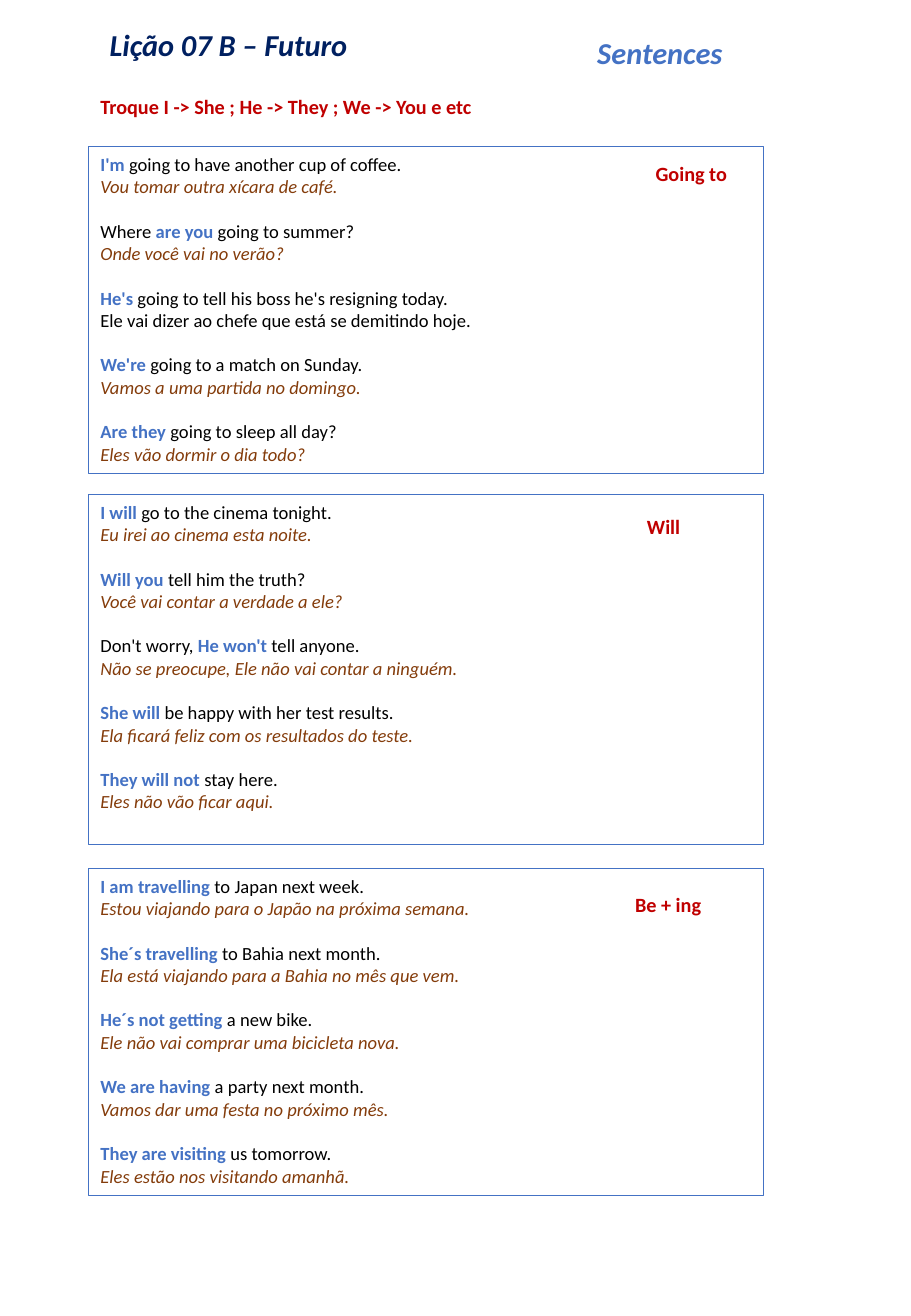
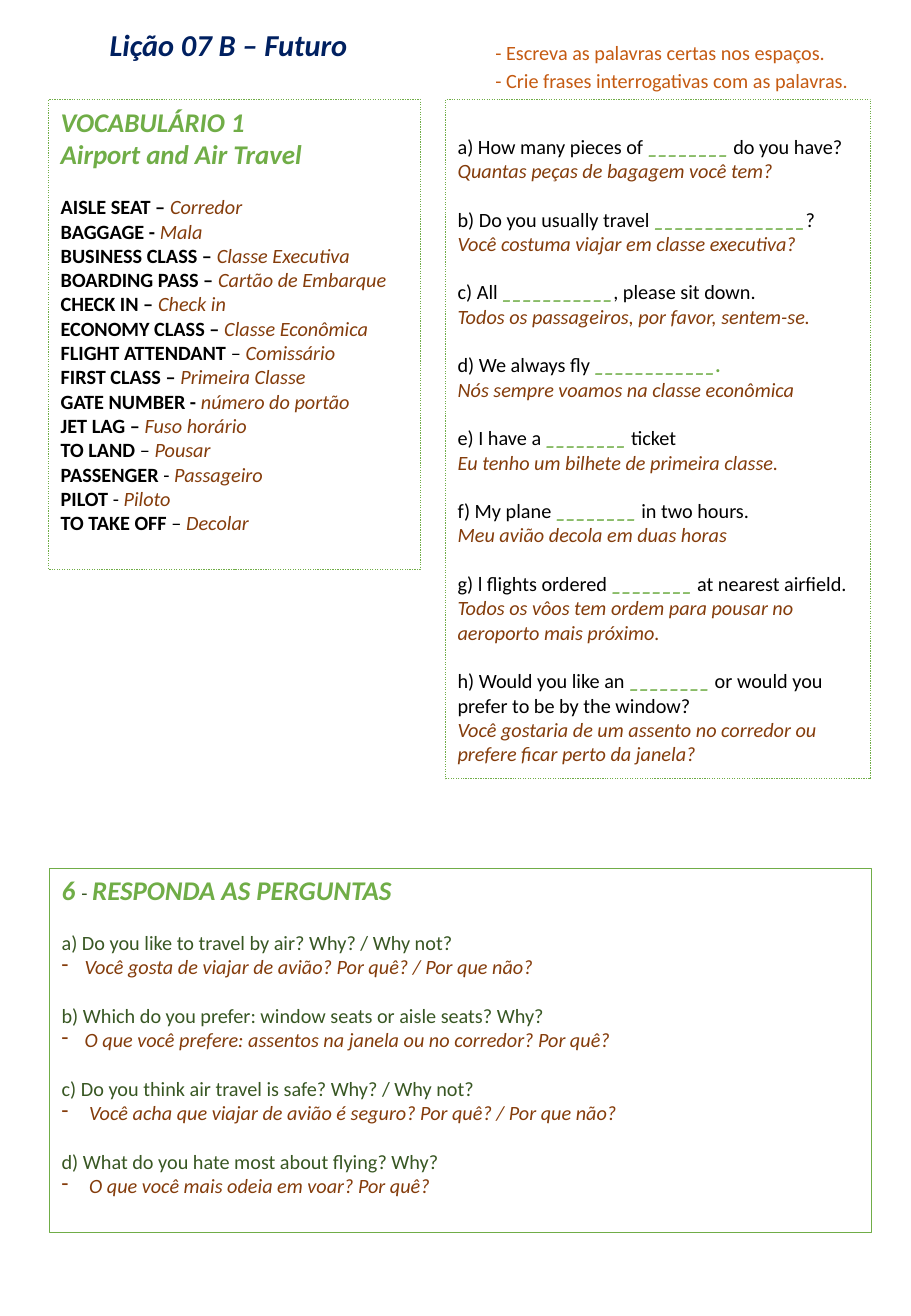
from lxml.etree import SubElement
from pptx import Presentation
from pptx.dml.color import RGBColor
from pptx.enum.dml import MSO_LINE
from pptx.enum.shapes import MSO_SHAPE
from pptx.enum.text import MSO_ANCHOR, PP_ALIGN
from pptx.oxml.ns import qn
from pptx.util import Cm, Pt

NAVY = RGBColor(0x00, 0x20, 0x60)
BLUE = RGBColor(0x44, 0x72, 0xC4)
RED = RGBColor(0xC0, 0x00, 0x00)
BLACK = RGBColor(0x00, 0x00, 0x00)
BROWN = RGBColor(0x84, 0x3C, 0x0B)
GREEN = RGBColor(0x70, 0xAD, 0x47)
DARK_GREEN = RGBColor(0x38, 0x57, 0x23)
ORANGE = RGBColor(0xC5, 0x5A, 0x11)

GOING_TO = [
    ("*I'm* going to have another cup of coffee.", "Vou tomar outra xícara de café."),
    ("Where *are you* going to summer?", "Onde você vai no verão?"),
    ("*He's* going to tell his boss he's resigning today.",
     "Ele vai dizer ao chefe que está se demitindo hoje.", "plain"),
    ("*We're* going to a match on Sunday.", "Vamos a uma partida no domingo."),
    ("*Are they* going to sleep all day?", "Eles vão dormir o dia todo?"),
]
WILL = [
    ("*I will* go to the cinema tonight.", "Eu irei ao cinema esta noite."),
    ("*Will you* tell him the truth?", "Você vai contar a verdade a ele?"),
    ("Don't worry, *He won't* tell anyone.",
     "Não se preocupe, Ele não vai contar a ninguém."),
    ("*She will* be happy with her test results.",
     "Ela ficará feliz com os resultados do teste."),
    ("*They will not* stay here.", "Eles não vão ficar aqui."),
]
BE_ING = [
    ("*I am travelling* to Japan next week.",
     "Estou viajando para o Japão na próxima semana."),
    ("*She´s travelling* to Bahia next month.",
     "Ela está viajando para a Bahia no mês que vem."),
    ("*He´s not getting* a new bike.", "Ele não vai comprar uma bicicleta nova."),
    ("*We are having* a party next month.", "Vamos dar uma festa no próximo mês."),
    ("*They are visiting* us tomorrow.", "Eles estão nos visitando amanhã."),
]
VOCABULARY = [
    ("AISLE SEAT – ", "", "Corredor"),
    ("BAGGAGE - ", "", "Mala"),
    ("BUSINESS CLASS – ", "", "Classe Executiva"),
    ("BOARDING PASS – ", "", "Cartão de Embarque"),
    ("CHECK IN – ", "", "Check in"),
    ("ECONOMY CLASS – ", "", "Classe Econômica"),
    ("FLIGHT ATTENDANT ", "– ", "Comissário"),
    ("FIRST CLASS – ", "", "Primeira Classe"),
    ("GATE NUMBER - ", "", "número do portão"),
    ("JET LAG – ", "", "Fuso horário"),
    ("TO LAND ", "– ", "Pousar"),
    ("PASSENGER", " - ", "Passageiro"),
    ("PILOT ", "- ", "Piloto"),
    ("TO TAKE OFF ", "– ", "Decolar"),
]
EXERCISES = [
    ("a) How many pieces of *________* do you have?",
     "Quantas peças de bagagem você tem?"),
    ("b) Do you usually travel *_______________*?",
     "Você costuma viajar em classe executiva?"),
    ("c) All *___________*, please sit down.",
     "Todos os passageiros, por favor, sentem-se."),
    ("d) We always fly *____________.*", "Nós sempre voamos na classe econômica"),
    ("e) I have a *________* ticket", "Eu tenho um bilhete de primeira classe."),
    ("f) My plane *________* in two hours.", "Meu avião decola em duas horas"),
    ("g) l flights ordered *________* at nearest airfield.",
     "Todos os vôos tem ordem para pousar no aeroporto mais próximo."),
    ("h) Would you like an *________* or would you prefer to be by the window?",
     "Você gostaria de um assento no corredor ou prefere ficar perto da janela?"),
]
QUESTIONS = [
    ("a) Do you like to travel by air? Why? / Why not?",
     "Você gosta de viajar de avião? Por quê? / Por que não?"),
    ("b) Which do you prefer: window seats or aisle seats? Why?",
     "O que você prefere: assentos na janela ou no corredor? Por quê?"),
    ("c) Do you think air travel is safe? Why? / Why not?",
     " Você acha que viajar de avião é seguro? Por quê? / Por que não?"),
    ("d) What do you hate most about flying? Why?",
     " O que você mais odeia em voar? Por quê?"),
]


def add_span(para, text, size=12, color=BLACK, bold=False, italic=False):
    """Add a run of text to a paragraph in the given format."""
    span = para.add_run()
    span.text = text
    font = span.font
    font.name, font.size = "Calibri", Pt(size)
    font.bold, font.italic = bold, italic
    font.color.rgb = color


class Worksheet:
    """Holds the deck, its style and the current page."""

    def __init__(self):
        """Start an empty portrait deck."""
        self.deck = Presentation()
        self.deck.slide_width, self.deck.slide_height = Cm(19.05), Cm(27.51)
        self.page = None

    def add_page(self):
        """Add a blank page with the lesson title."""
        self.page = self.deck.slides.add_slide(self.deck.slide_layouts[6])
        self.add_label("Lição 07 B – Futuro", 2.01, 0.43, 5.54, 1.8, wrap=False,
                       align=PP_ALIGN.CENTER, size=18, color=NAVY, bold=True, italic=True)

    def add_label(self, text, left, top, width, height=0.76, wrap=True,
                  align=PP_ALIGN.LEFT, **style):
        """Add a text box with one line of text."""
        box = self.page.shapes.add_textbox(Cm(left), Cm(top), Cm(width), Cm(height))
        box.text_frame.word_wrap = wrap
        para = box.text_frame.paragraphs[0]
        para.alignment = align
        add_span(para, text, **style)

    def add_panel(self, left, top, width, height, color, weight=0.75, dash=None):
        """Add an outlined rectangle and return its text frame."""
        panel = self.page.shapes.add_shape(
            MSO_SHAPE.RECTANGLE, Cm(left), Cm(top), Cm(width), Cm(height))
        panel.shadow.inherit = False
        panel.fill.background()
        panel.line.color.rgb = color
        panel.line.width = Pt(weight)
        panel.line.dash_style = dash
        panel.text_frame.word_wrap = True
        panel.text_frame.vertical_anchor = MSO_ANCHOR.TOP
        return panel.text_frame

    def add_para(self, frame, gap=0, bullet=None):
        """Return a left-aligned paragraph, reusing the empty first one."""
        first = frame.paragraphs[0]
        para = first if not first.runs else frame.add_paragraph()
        para.alignment = PP_ALIGN.LEFT
        if gap:
            para.space_before = Pt(gap)
        if bullet:
            properties = para._p.get_or_add_pPr()
            properties.set("marL", str(Cm(0.48)))
            properties.set("indent", str(-Cm(0.48)))
            SubElement(properties, qn("a:buChar")).set("char", bullet)
        return para

    def add_pairs(self, frame, pairs, size, accent, slanted=False):
        """Write sentences, with text between asterisks accented, and translations."""
        for index, (sentence, translation, *plain) in enumerate(pairs):
            para = self.add_para(frame, gap=size * 1.2 if index else 0)
            for position, part in enumerate(sentence.split("*")):
                if position % 2:
                    add_span(para, part, size, accent, bold=True, italic=slanted)
                elif part:
                    add_span(para, part, size)
            add_span(self.add_para(frame), translation, size,
                     BLACK if plain else BROWN, italic=not plain)


def build_sentences(sheet):
    """Build the page of example sentences."""
    sheet.add_page()
    sheet.add_label("Sentences", 12.24, 0.58, 5.5, 1.02,
                    size=18, color=BLUE, bold=True, italic=True)
    sheet.add_label("Troque I -> She ; He -> They ; We -> You e etc",
                    1.85, 1.85, 9.53, color=RED, bold=True)
    sections = [
        (GOING_TO, 3.07, 6.83, "Going to", 13.46, 3.25),
        (WILL, 10.34, 7.32, "Will", 13.28, 10.62),
        (BE_ING, 18.16, 6.83, "Be + ing", 13.03, 18.52),
    ]
    for pairs, top, height, tense, label_left, label_top in sections:
        frame = sheet.add_panel(1.85, top, 14.12, height, BLUE)
        sheet.add_pairs(frame, pairs, 11, BLUE)
        sheet.add_label(tense, label_left, label_top, 2.49, color=RED, bold=True)


def build_vocabulary(sheet):
    """Build the page of vocabulary, exercises and questions."""
    sheet.add_page()
    heading = {"size": 16, "color": GREEN, "bold": True, "italic": True}
    sheet.add_label("- Escreva as palavras certas nos espaços.", 10.11, 0.71, 8.5, color=ORANGE)
    sheet.add_label("- Crie frases interrogativas com as palavras.", 10.11, 1.3, 8.5, color=ORANGE)

    frame = sheet.add_panel(1.02, 2.08, 7.77, 9.83, GREEN, dash=MSO_LINE.ROUND_DOT)
    for text in ("VOCABULÁRIO 1", "Airport and Air Travel"):
        add_span(sheet.add_para(frame), text, **heading)
    for index, (term, dash, translation) in enumerate(VOCABULARY):
        para = sheet.add_para(frame, gap=0 if index else 14.4)
        add_span(para, term, bold=True)
        if dash:
            add_span(para, dash)
        add_span(para, translation, color=BROWN, italic=True)

    frame = sheet.add_panel(9.32, 2.08, 8.89, 14.2, GREEN, dash=MSO_LINE.ROUND_DOT)
    frame.margin_top = Cm(0.72)
    sheet.add_pairs(frame, EXERCISES, 12, GREEN, slanted=True)

    frame = sheet.add_panel(1.04, 18.14, 17.17, 7.62, GREEN, weight=0.25)
    para = sheet.add_para(frame)
    add_span(para, "6 ", **heading)
    add_span(para, "- ", color=DARK_GREEN)
    add_span(para, "RESPONDA AS PERGUNTAS", **heading)
    for question, translation in QUESTIONS:
        add_span(sheet.add_para(frame, gap=14.4), question, color=DARK_GREEN)
        add_span(sheet.add_para(frame, bullet="-"), translation, color=BROWN, italic=True)


def main():
    """Build both pages and save the deck."""
    sheet = Worksheet()
    build_sentences(sheet)
    build_vocabulary(sheet)
    sheet.deck.save("out.pptx")


if __name__ == "__main__":
    main()
